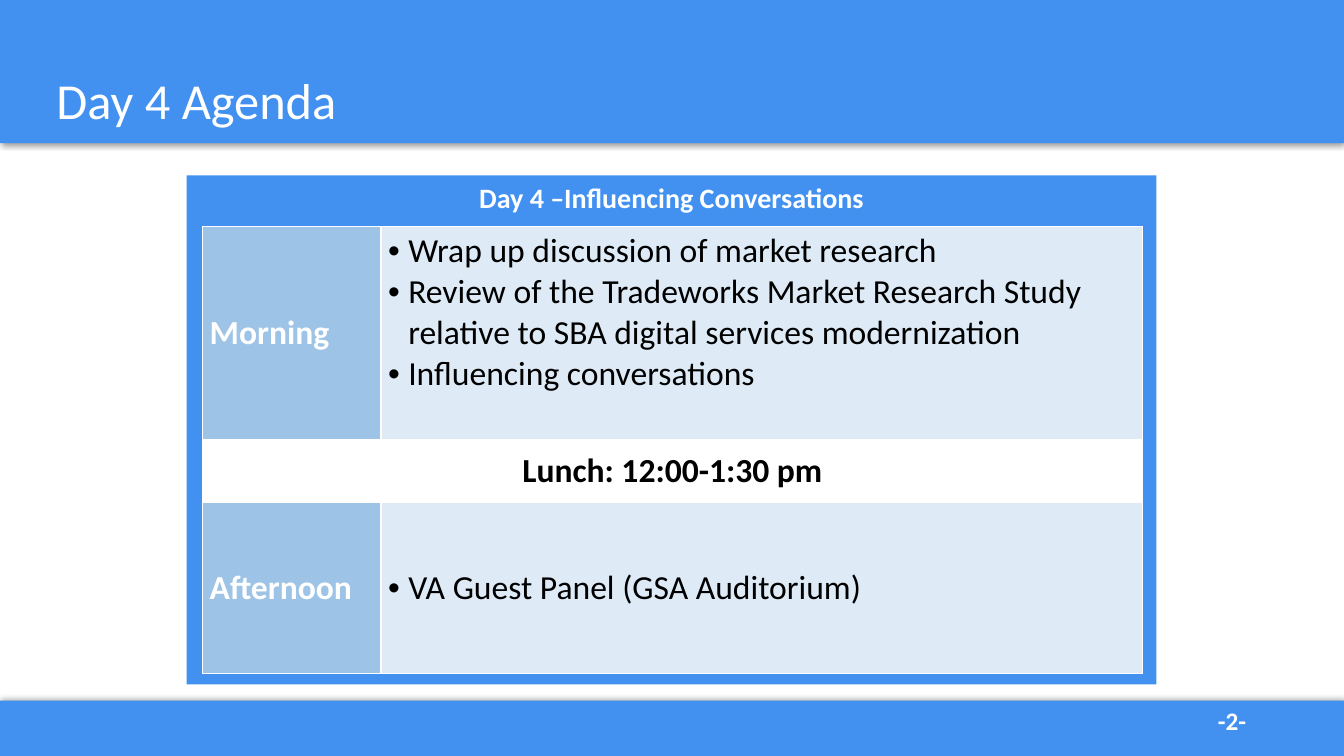
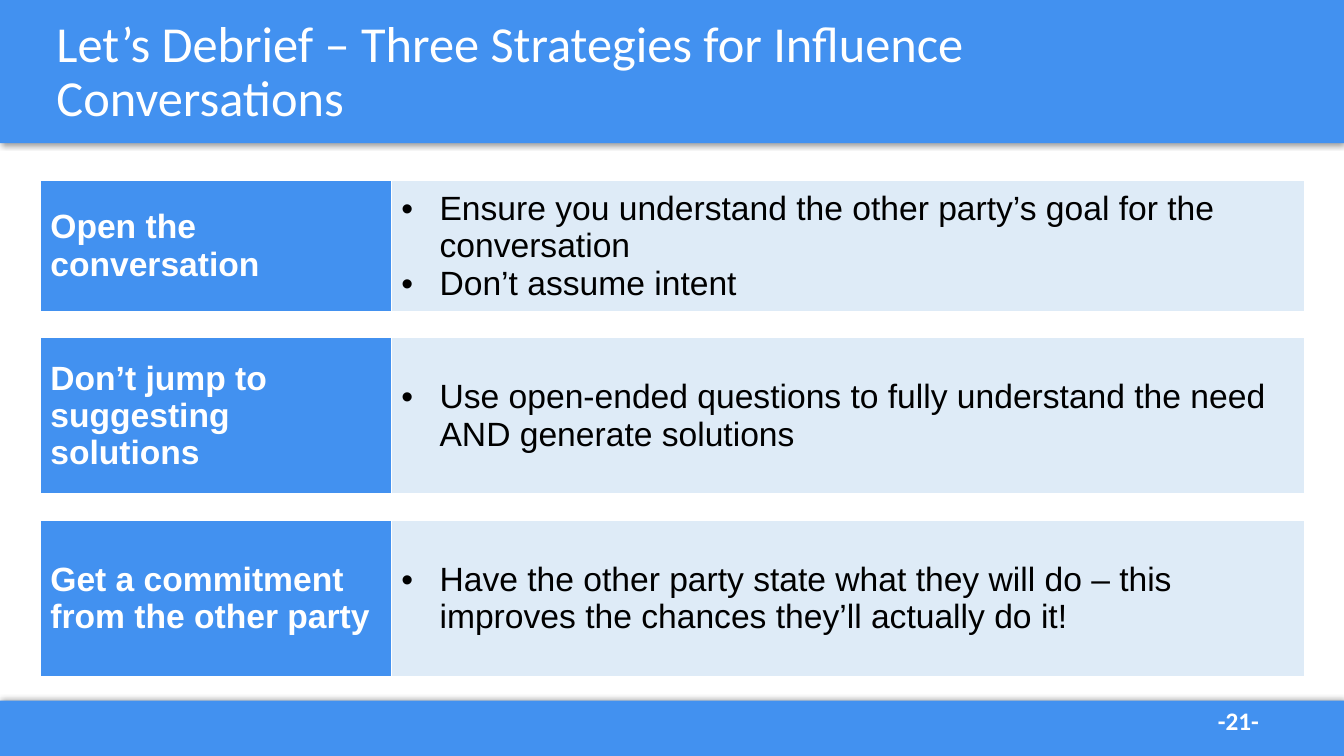
"""Builds two training slides: a day agenda and a debrief on influence conversations."""
from lxml.etree import SubElement
from pptx import Presentation
from pptx.dml.color import RGBColor
from pptx.enum.shapes import MSO_SHAPE
from pptx.enum.text import MSO_ANCHOR, MSO_AUTO_SIZE, PP_ALIGN
from pptx.oxml.ns import qn
from pptx.util import Inches, Pt

BLUE, SKY, PALE, WHITE, BLACK = "4291F0", "9DC3E6", "DEEBF7", "FFFFFF", "000000"


def paint(target, color):
    """Give a fill or a font one solid colour."""
    if hasattr(target, "solid"):
        target.solid()
        target.fore_color.rgb = RGBColor.from_string(color)
    else:
        target.color.rgb = RGBColor.from_string(color)


def write(frame, lines, size, font, color, bold=False, align=PP_ALIGN.LEFT, indent=0):
    """Write one paragraph per line, bulleted when an indent is given."""
    frame.text = "\n".join(lines)
    for paragraph in frame.paragraphs:
        paragraph.alignment = align
        for name, value in {"size": Pt(size), "name": font, "bold": bold}.items():
            setattr(paragraph.font, name, value)
            for run in paragraph.runs:
                setattr(run.font, name, value)
        for run in paragraph.runs:
            paint(run.font, color)
        if indent:
            properties = paragraph.runs[0].font and paragraph._p.get_or_add_pPr()
            properties.set("marL", str(Inches(indent)))
            properties.set("indent", str(-Inches(indent)))
            bullet_font = properties.makeelement(qn("a:buFont"), {"typeface": "Arial"})
            bullet = properties.makeelement(qn("a:buChar"), {"char": "•"})
            properties.insert(0, bullet_font)
            bullet_font.addnext(bullet)


SLIDES = [
    {
        "title": "Day 4 Agenda", "title_box": (0.46, 0.3, 12.42, 1.45), "number": "-2-",
        "panel": "Day 4 –Influencing Conversations", "font": "Calibri", "label_fill": SKY,
        "corner": (2.01, 2.25), "columns": (1.77, 7.55), "margins": (0.07, 0.04), "indent": 0.2,
        "rows": [
            (2.11, "Morning", [
                "Wrap up discussion of market research",
                "Review of the Tradeworks Market Research Study relative to SBA digital services modernization",
                "Influencing conversations"], MSO_ANCHOR.TOP),
            (0.62, "Lunch: 12:00-1:30 pm", [], MSO_ANCHOR.MIDDLE),
            (1.7, "Afternoon", ["VA Guest Panel (GSA Auditorium)"], MSO_ANCHOR.MIDDLE),
        ],
    },
    {
        "title": "Let’s Debrief – Three Strategies for Influence Conversations",
        "title_box": (0.46, 0, 10.78, 1.45), "number": "-21-",
        "panel": "", "font": "Arial", "label_fill": BLUE,
        "corner": (0.4, 1.79), "columns": (3.48, 9.06), "margins": (0.1, 0.05), "indent": 0.38,
        "rows": [
            (1.22, "Open the conversation", [
                "Ensure you understand the other party’s goal for the conversation",
                "Don’t assume intent"], MSO_ANCHOR.MIDDLE),
            (0.26, "", [], MSO_ANCHOR.MIDDLE),
            (1.55, "Don’t jump to suggesting solutions", [
                "Use open-ended questions to fully understand the need AND generate solutions"],
             MSO_ANCHOR.MIDDLE),
            (0.26, "", [], MSO_ANCHOR.MIDDLE),
            (1.55, "Get a commitment from the other party", [
                "Have the other party state what they will do – this improves the chances they’ll actually do it!"],
             MSO_ANCHOR.MIDDLE),
        ],
    },
]

presentation = Presentation()
presentation.slide_width, presentation.slide_height = Inches(13.33), Inches(7.5)
layout = presentation.slide_layouts[5]
slides = [presentation.slides.add_slide(layout) for content in SLIDES]

for number, (top, height, angle) in enumerate([(6.95, 0.55, 270), (0, 1.42, 90)]):
    band = slides[0].shapes.add_shape(
        MSO_SHAPE.RECTANGLE, 0, Inches(top), presentation.slide_width, Inches(height))
    paint(band.fill, BLUE)
    band.line.fill.background()
    band.shadow.inherit = False
    effects = band.element.spPr.find(qn("a:effectLst"))
    shadow = SubElement(effects, qn("a:outerShdw"), blurRad=str(Pt(4)), dist=str(Pt(1)),
                        dir=str(angle * 60000), algn="ctr", rotWithShape="0")
    shadow_color = SubElement(shadow, qn("a:srgbClr"), val=BLACK)
    SubElement(shadow_color, qn("a:alpha"), val="40000")
    band.element.nvSpPr.cNvPr.set("id", str(20 + number))
    layout.shapes.element.insert(2 + number, band.element)

for slide, content in zip(slides, SLIDES):
    title = slide.shapes.title
    title.left, title.top, title.width, title.height = map(Inches, content["title_box"])
    write(title.text_frame, [content["title"]], 36, "Calibri", WHITE)
    title.text_frame.paragraphs[0].line_spacing = 0.9
    title.text_frame.vertical_anchor = MSO_ANCHOR.MIDDLE
    title.text_frame.auto_size = MSO_AUTO_SIZE.NONE

    page = slide.shapes.add_textbox(Inches(11.98), Inches(6.95), Inches(0.98), Inches(0.4))
    page.text_frame.word_wrap = True
    write(page.text_frame, [content["number"]], 18, "Calibri", WHITE, bold=True)

    if content["panel"]:
        panel = slide.shapes.add_shape(
            MSO_SHAPE.RECTANGLE, Inches(1.85), Inches(1.74), Inches(9.62), Inches(5.05))
        paint(panel.fill, BLUE)
        panel.line.fill.background()
        panel.shadow.inherit = False
        panel.text_frame.vertical_anchor = MSO_ANCHOR.TOP
        write(panel.text_frame, [content["panel"]], 20, "Calibri", WHITE, True, PP_ALIGN.CENTER)

    rows, columns = content["rows"], content["columns"]
    table = slide.shapes.add_table(
        len(rows), len(columns), *map(Inches, content["corner"]),
        Inches(sum(columns)), Inches(sum(row[0] for row in rows))).table
    table.first_row = table.horz_banding = False
    for column, width in zip(table.columns, columns):
        column.width = Inches(width)

    for index, (height, label, points, anchor) in enumerate(rows):
        table.rows[index].height = Inches(height)
        label_cell, points_cell = table.cell(index, 0), table.cell(index, 1)
        fills = (content["label_fill"], PALE) if points else (WHITE, WHITE)
        side, edge = content["margins"] if label else (0, 0)
        for cell, fill in zip((label_cell, points_cell), fills):
            for name, value in {"margin_left": side, "margin_right": side,
                                "margin_top": edge, "margin_bottom": edge}.items():
                setattr(cell, name, Inches(value))
            cell.vertical_anchor = MSO_ANCHOR.MIDDLE
            properties = cell._tc.get_or_add_tcPr()
            for border in ("a:lnL", "a:lnR", "a:lnT", "a:lnB"):
                line = SubElement(properties, qn(border), w=str(Pt(1)))
                SubElement(SubElement(line, qn("a:solidFill")), qn("a:srgbClr"), val=WHITE)
            paint(cell.fill, fill)
        if points:
            write(label_cell.text_frame, [label], 24, content["font"], WHITE, True)
            write(points_cell.text_frame, points, 24, content["font"], BLACK, indent=content["indent"])
            points_cell.vertical_anchor = anchor
        else:
            size = 24 if label else 8
            label_cell.merge(points_cell)
            for cell, text in ((label_cell, label), (points_cell, "")):
                write(cell.text_frame, [text], size, content["font"], BLACK, True, PP_ALIGN.CENTER)

presentation.save("out.pptx")
